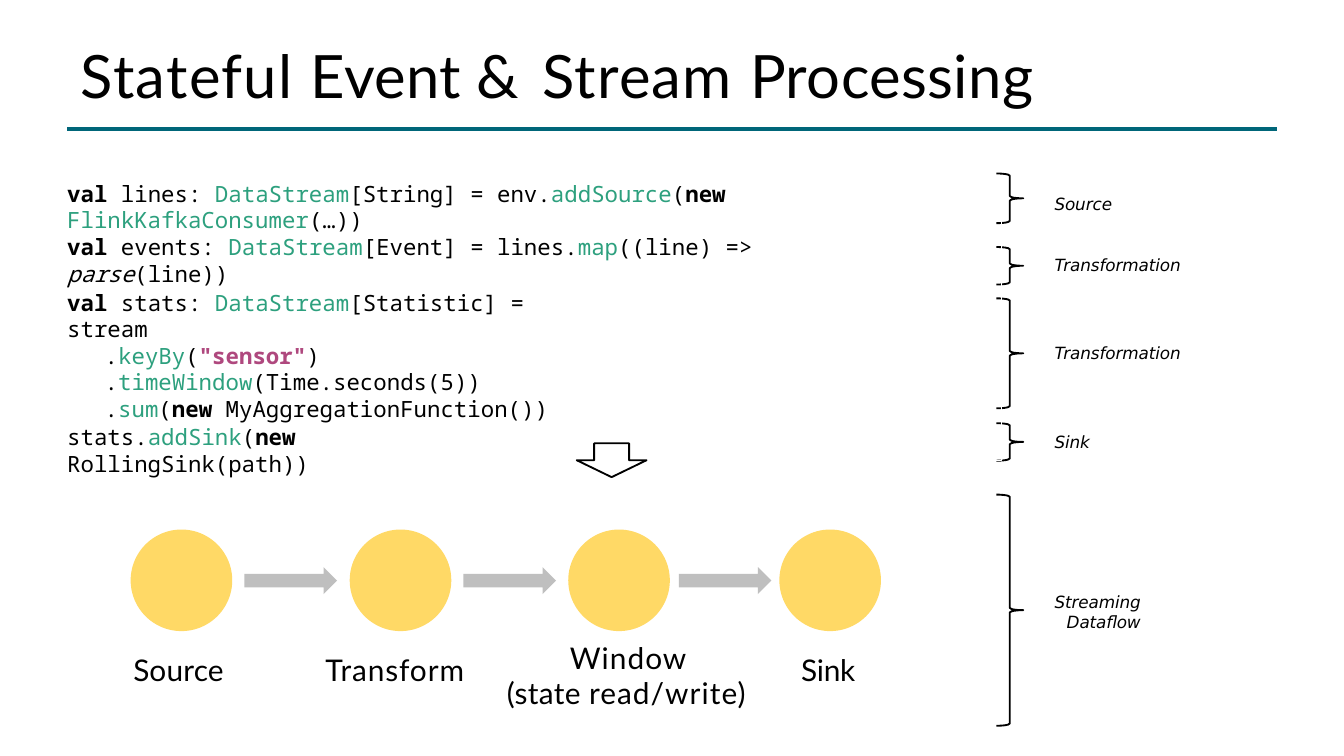
from dataclasses import dataclass
from typing import Optional

from lxml import etree
from pptx import Presentation
from pptx.dml.color import RGBColor
from pptx.enum.shapes import MSO_CONNECTOR, MSO_SHAPE
from pptx.enum.text import MSO_AUTO_SIZE
from pptx.oxml.ns import qn
from pptx.util import Cm, Pt

OVAL = MSO_SHAPE.OVAL
RECTANGLE = MSO_SHAPE.RECTANGLE
RIGHT_BRACE = MSO_SHAPE.RIGHT_BRACE
RIGHT_ARROW = MSO_SHAPE.RIGHT_ARROW
DOWN_ARROW = MSO_SHAPE.DOWN_ARROW
STRAIGHT = MSO_CONNECTOR.STRAIGHT
GROW = MSO_AUTO_SIZE.SHAPE_TO_FIT_TEXT


@dataclass(frozen=True)
class Theme:
    ink: str = "000000"
    paper: str = "FFFFFF"
    rule: str = "006679"
    name: str = "2DA07E"
    string: str = "AF487E"
    node: str = "FFD966"
    arrow: str = "BFBFBF"
    heading_font: str = "Lato"
    note_font: str = "DejaVu Sans"
    code_font: str = "Noto Sans Mono"
    title_size: float = 32
    label_size: float = 16
    code_size: float = 12
    note_size: float = 9


THEME = Theme()


@dataclass(frozen=True)
class Box:
    """Left, top, width and height in centimetres."""
    left: float
    top: float
    width: float
    height: float

    def lengths(self) -> tuple:
        return Cm(self.left), Cm(self.top), Cm(self.width), Cm(self.height)


@dataclass(frozen=True)
class Span:
    text: str
    color: str = THEME.ink
    bold: bool = False
    italic: bool = False
    spacing: float = 0


@dataclass(frozen=True)
class Para:
    spans: list
    left: float = 0.03
    first: float = 0


@dataclass(frozen=True)
class Step:
    node_left: float
    label: Box
    para: Para
    arrow_left: Optional[float] = None


def add_text(slide, box: Box, paras: list, *, font: str, size: float,
             line: Optional[float] = None) -> None:
    frame = slide.shapes.add_textbox(*box.lengths()).text_frame
    frame.word_wrap = True
    frame.auto_size = GROW
    frame.margin_left = frame.margin_right = frame.margin_bottom = 0
    frame.margin_top = Cm(0.03)
    for index, item in enumerate(paras):
        para = frame.add_paragraph() if index else frame.paragraphs[0]
        properties = para._p.get_or_add_pPr()
        properties.set("marL", str(Cm(item.left)))
        properties.set("indent", str(Cm(item.first)))
        if line:
            para.line_spacing = Pt(line)
        for span in item.spans:
            run = para.add_run()
            run.text = span.text
            run.font.name = font
            run.font.size = Pt(size)
            run.font.bold = span.bold
            run.font.italic = span.italic
            run.font.color.rgb = RGBColor.from_string(span.color)
            if span.spacing:
                run._r.get_or_add_rPr().set("spc", str(round(span.spacing * 100)))


def add_figure(slide, kind, box: Box, *, fill: Optional[str] = None,
               line: Optional[str] = None, weight: float = 1) -> None:
    figure = slide.shapes.add_shape(kind, *box.lengths())
    figure.shadow.inherit = False
    if fill:
        figure.fill.solid()
        figure.fill.fore_color.rgb = RGBColor.from_string(fill)
    else:
        figure.fill.background()
    if line:
        figure.line.color.rgb = RGBColor.from_string(line)
        figure.line.width = Pt(weight)
    else:
        figure.line.fill.background()


def add_rule(slide, left: float, right: float, top: float) -> None:
    rule = slide.shapes.add_connector(STRAIGHT, Cm(left), Cm(top), Cm(right), Cm(top))
    rule.line.color.rgb = RGBColor.from_string(THEME.rule)
    rule.line.width = Pt(2)
    etree.SubElement(rule._element.spPr, qn("a:effectLst"))


def name(text: str) -> Span:
    return Span(text, color=THEME.name)


def keyword(text: str) -> Span:
    return Span(text, bold=True)


# Code statements: top, width, height, paragraphs
CALL_INDENT = 0.74
STATEMENTS = [
    (3.38, 16.89, 0.58, [Para([
        keyword("val "), Span("lines: "), name("DataStream"), Span("[String] = env."),
        name("addSource"), Span("("), keyword("new "), name("FlinkKafkaConsumer"),
        Span("(…))")])]),
    (4.39, 15.04, 0.58, [Para([
        keyword("val "), Span("events: "), name("DataStream"), Span("[Event] = lines."),
        name("map"), Span("((line) => "), Span("parse", italic=True), Span("(line))")])]),
    (5.44, 9.65, 2.08, [
        Para([keyword("val "), Span("stats: "), name("DataStream"),
              Span("[Statistic] = stream")]),
        Para([Span("."), name("keyBy"), Span("("),
              Span('"sensor"', color=THEME.string, bold=True), Span(")")], CALL_INDENT),
        Para([Span("."), name("timeWindow"), Span("(Time.seconds(5))")], CALL_INDENT),
        Para([Span("."), name("sum"), Span("("), keyword("new "),
              Span("MyAggregationFunction())")], CALL_INDENT)]),
    (7.98, 8.48, 0.58, [Para([
        Span("stats."), name("addSink"), Span("("), keyword("new "),
        Span("RollingSink(path))")])]),
]

# Braces: top, height
BRACES = [(3.28, 0.94), (4.67, 0.71), (5.64, 2.08), (8.0, 0.71), (9.35, 4.37)]

# Brace notes: text, top, width, left indent, first-line indent
NOTES = [
    ("Source", 3.63, 1.17, 0.03, 0),
    ("Transformation", 4.78, 2.51, 0.03, 0),
    ("Transformation", 6.45, 2.51, 0.03, 0),
    ("Sink", 8.13, 0.76, 0.03, 0),
    ("Streaming Dataflow", 11.15, 1.75, 0.26, -0.23),
]

# Dataflow steps
LABEL_TOP = 12.29
STEPS = [
    Step(2.47, Box(2.49, LABEL_TOP, 1.88, 0.74),
         Para([Span("Source", spacing=0.1)]), 4.62),
    Step(6.61, Box(6.12, LABEL_TOP, 2.82, 0.74),
         Para([Span("Transform", spacing=0.5)]), 8.76),
    Step(10.74, Box(9.55, 12.06, 4.6, 1.42),
         Para([Span("Window ", spacing=0.6), Span("(state ", spacing=0.2),
               Span("read/write)", spacing=0.6)], first=1.19), 12.83),
    Step(14.73, Box(15.11, LABEL_TOP, 1.17, 0.74),
         Para([Span("Sink", spacing=-0.1)])),
]


def main() -> None:
    deck = Presentation()
    deck.slide_width, deck.slide_height = Cm(25.4), Cm(14.29)
    page = deck.slides.add_slide(deck.slide_layouts[6])

    # Title and rule
    add_rule(page, 1.27, 24.13, 2.44)
    title = [Span("Stateful ", spacing=0.7), Span("Event ", spacing=0.1),
             Span("& ", spacing=2), Span("Stream ", spacing=0.7),
             Span("Processing", spacing=0.2)]
    add_text(page, Box(1.5, 0.71, 18.49, 1.42), [Para(title)],
             font=THEME.heading_font, size=THEME.title_size)

    # Braces, code frame and notes
    for top, height in BRACES:
        add_figure(page, RIGHT_BRACE, Box(18.83, top, 0.51, height), line=THEME.ink)
    add_figure(page, RECTANGLE, Box(1.02, 3.33, 17.91, 5.38), line=THEME.paper, weight=0.75)
    for text, top, width, left, first in NOTES:
        add_text(page, Box(19.9, top, width, 0.46),
                 [Para([Span(text, italic=True, spacing=-0.05)], left, first)],
                 font=THEME.note_font, size=THEME.note_size)

    # Code
    for top, width, height, paras in STATEMENTS:
        add_text(page, Box(1.24, top, width, height), paras,
                 font=THEME.code_font, size=THEME.code_size, line=14.2)
    add_figure(page, DOWN_ARROW, Box(10.9, 8.38, 1.32, 0.64), line=THEME.ink)

    # Dataflow
    for step in STEPS:
        add_figure(page, OVAL, Box(step.node_left, 10.01, 1.92, 1.92), fill=THEME.node)
        if step.arrow_left is not None:
            add_figure(page, RIGHT_ARROW, Box(step.arrow_left, 10.72, 1.75, 0.51),
                       fill=THEME.arrow)
        add_text(page, step.label, [step.para], font=THEME.heading_font,
                 size=THEME.label_size, line=19)

    deck.save("out.pptx")


if __name__ == "__main__":
    main()
